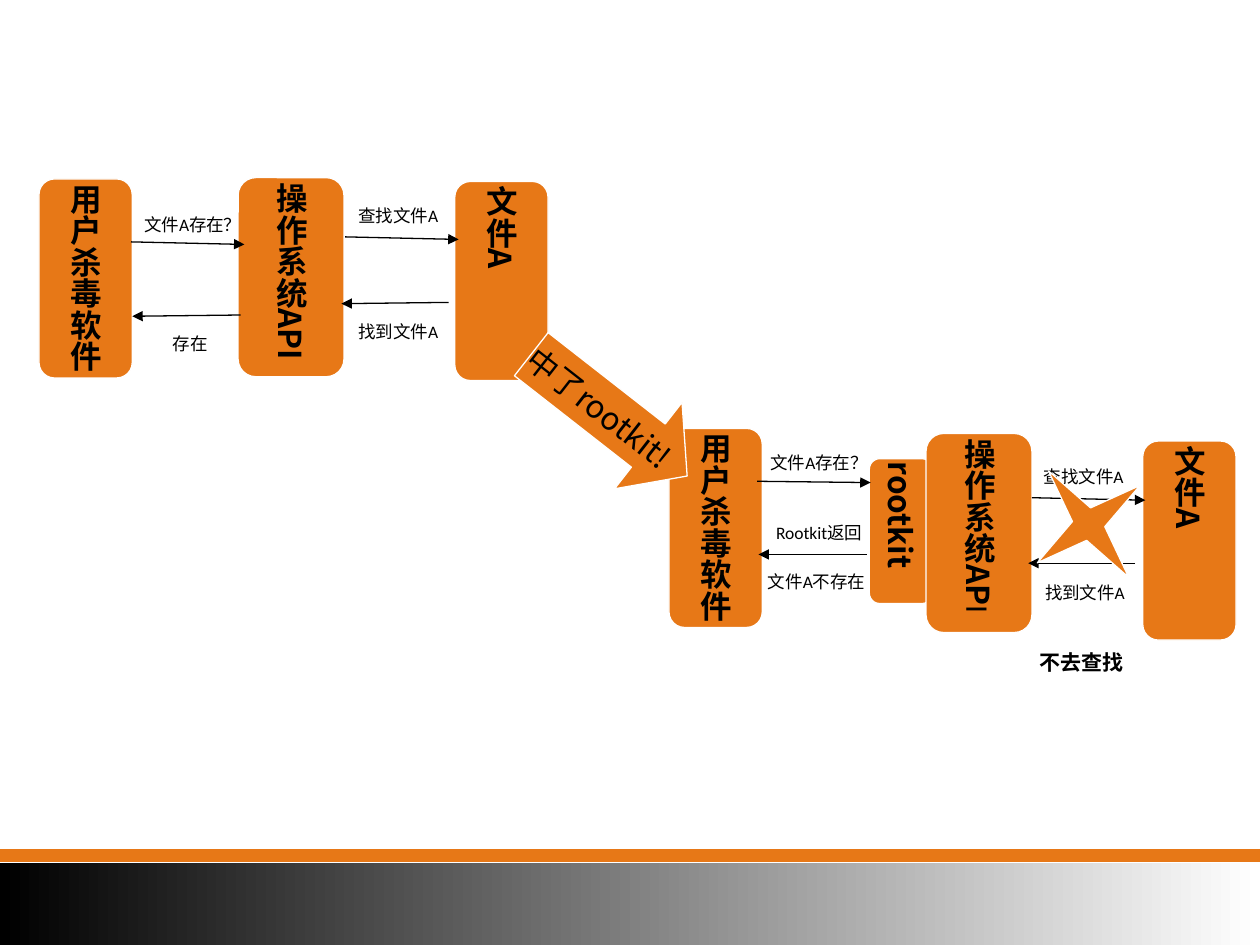
"""Build a slide that compares a file lookup before and after a rootkit."""
from pptx import Presentation
from pptx.dml.color import RGBColor
from pptx.enum.shapes import MSO_CONNECTOR, MSO_SHAPE
from pptx.enum.text import MSO_ANCHOR, MSO_AUTO_SIZE, PP_ALIGN
from pptx.oxml.ns import qn
from pptx.util import Inches, Pt
from lxml.etree import SubElement

ORANGE = RGBColor(0xE7, 0x78, 0x17)
BLACK = RGBColor(0, 0, 0)
WHITE = RGBColor(255, 255, 255)
SANS = "Noto Sans CJK SC"
BODY = "Calibri"

BOXES = [
    (0.31, 1.42, 0.74, 1.58, "用户杀毒软件", SANS),
    (1.89, 1.41, 0.84, 1.58, "操作系统API", SANS),
    (3.61, 1.44, 0.74, 1.58, "文件A", SANS),
    (5.31, 3.4, 0.74, 1.58, "用户杀毒软件", BODY),
    (6.9, 3.64, 0.5, 1.15, "rootkit", SANS),
    (7.35, 3.44, 0.84, 1.58, "操作系统AP", SANS),
    (9.07, 3.5, 0.74, 1.58, "文件A", SANS),
]
ARROWS = [
    (1.04, 1.92, 1.94, 1.94),
    (1.91, 2.5, 1.05, 2.51),
    (2.74, 1.88, 3.64, 1.9),
    (3.56, 2.4, 2.71, 2.41),
    (6.01, 3.82, 6.91, 3.83),
    (6.88, 4.4, 6.02, 4.4),
    (8.19, 3.95, 9.09, 3.97),
    (9.01, 4.47, 8.16, 4.47),
]
LABELS = [
    (1.02, 1.65, "文件A存在？"),
    (1, 2.59, "存在"),
    (2.65, 1.58, "查找文件A"),
    (2.65, 2.5, "找到文件A"),
    (5.99, 3.54, "文件A存在？"),
    (5.99, 4.09, "Rootkit返回"),
    (5.97, 4.48, "文件A不存在"),
    (8.09, 3.65, "查找文件A"),
    (8.1, 4.57, "找到文件A"),
]


def style(run, size, font, bold=False):
    """Set the look of one run for both scripts."""
    run.font.size = Pt(size)
    run.font.name = font
    run.font.bold = bold
    run.font.color.rgb = BLACK
    SubElement(run.font._element, qn("a:ea")).set("typeface", SANS)


def write(frame, text, size, font, bold=False, align=PP_ALIGN.CENTER):
    """Fill a text frame with one styled paragraph."""
    frame.text = text
    line = frame.paragraphs[0]
    line.alignment = align
    line._p.get_or_add_pPr().set("hangingPunct", "0")
    style(line.runs[0], size, font, bold)
    return line


def add_form(slide, kind, place, edge=True):
    """Add an orange shape with an optional white edge."""
    form = slide.shapes.add_shape(kind, *map(Inches, place))
    form.shadow.inherit = False
    form.fill.solid()
    form.fill.fore_color.rgb = ORANGE
    if edge:
        form.line.color.rgb = WHITE
        form.line.width = Pt(0.75)
    else:
        form.line.fill.background()
    return form


def add_bars(slide):
    """Add the footer stripe and its gradient band."""
    add_form(slide, MSO_SHAPE.RECTANGLE, (0, 6.74, 10, 0.1), False)
    band = add_form(slide, MSO_SHAPE.RECTANGLE, (0, 6.85, 10, 0.69), False)
    band.fill.gradient()
    band.fill.gradient_angle = 0
    for stop, shade in zip(band.fill.gradient_stops, (BLACK, WHITE)):
        stop.color.rgb = shade


def add_box(slide, left, top, width, height, text, font):
    """Add a rounded box with upright text and return its paragraph."""
    box = add_form(slide, MSO_SHAPE.ROUNDED_RECTANGLE, (left, top, width, height))
    frame = box.text_frame
    frame.word_wrap = True
    frame.vertical_anchor = MSO_ANCHOR.MIDDLE
    frame.margin_left = frame.margin_right = Inches(0.05)
    frame.margin_top = frame.margin_bottom = 0
    frame._txBody.bodyPr.set("vert", "eaVert")
    return write(frame, text, 18, font, True)


def add_arrow(slide, *ends):
    """Add a thin black line with a head at its end."""
    arrow = slide.shapes.add_connector(MSO_CONNECTOR.STRAIGHT, *map(Inches, ends))
    arrow.line.color.rgb = BLACK
    arrow.line.width = Pt(0.75)
    SubElement(arrow.line._get_or_add_ln(), qn("a:tailEnd")).set("type", "triangle")
    SubElement(arrow._element.spPr, qn("a:effectLst"))


def add_label(slide, left, top, text, width=1.02, height=0.27, size=10, **look):
    """Add a wrapped text box."""
    label = slide.shapes.add_textbox(*map(Inches, (left, top, width, height)))
    frame = label.text_frame
    frame.word_wrap = True
    frame.auto_size = MSO_AUTO_SIZE.SHAPE_TO_FIT_TEXT
    write(frame, text, size, BODY, **look)


def main():
    """Lay out the slide and save it."""
    deck = Presentation()
    deck.slide_width, deck.slide_height = Inches(10), Inches(7.5)
    slide = deck.slides.add_slide(deck.slide_layouts[6])
    add_bars(slide)
    for box in BOXES:
        line = add_box(slide, *box)
        if box[4].endswith("AP"):
            last = line.add_run()
            last.text = "I"
            style(last, 18, BODY)
    for ends in ARROWS:
        add_arrow(slide, *ends)
    for label in LABELS:
        add_label(slide, *label)
    star = add_form(slide, MSO_SHAPE.STAR_4_POINT, (8.11, 3.65, 1.06, 1.02))
    star.adjustments[0] = 0.125
    star.rotation = 53
    add_label(slide, 8.15, 5.11, "不去查找", 1, 0.3, 12, bold=True, align=PP_ALIGN.LEFT)
    turn = add_form(slide, MSO_SHAPE.RIGHT_ARROW, (4.05, 2.86, 1.57, 0.87))
    turn.adjustments[1] = 0.45
    turn.rotation = 38
    turn.text_frame.word_wrap = False
    turn.text_frame.vertical_anchor = MSO_ANCHOR.MIDDLE
    write(turn.text_frame, "中了rootkit!", 18, SANS)
    deck.save("out.pptx")


if __name__ == "__main__":
    main()
